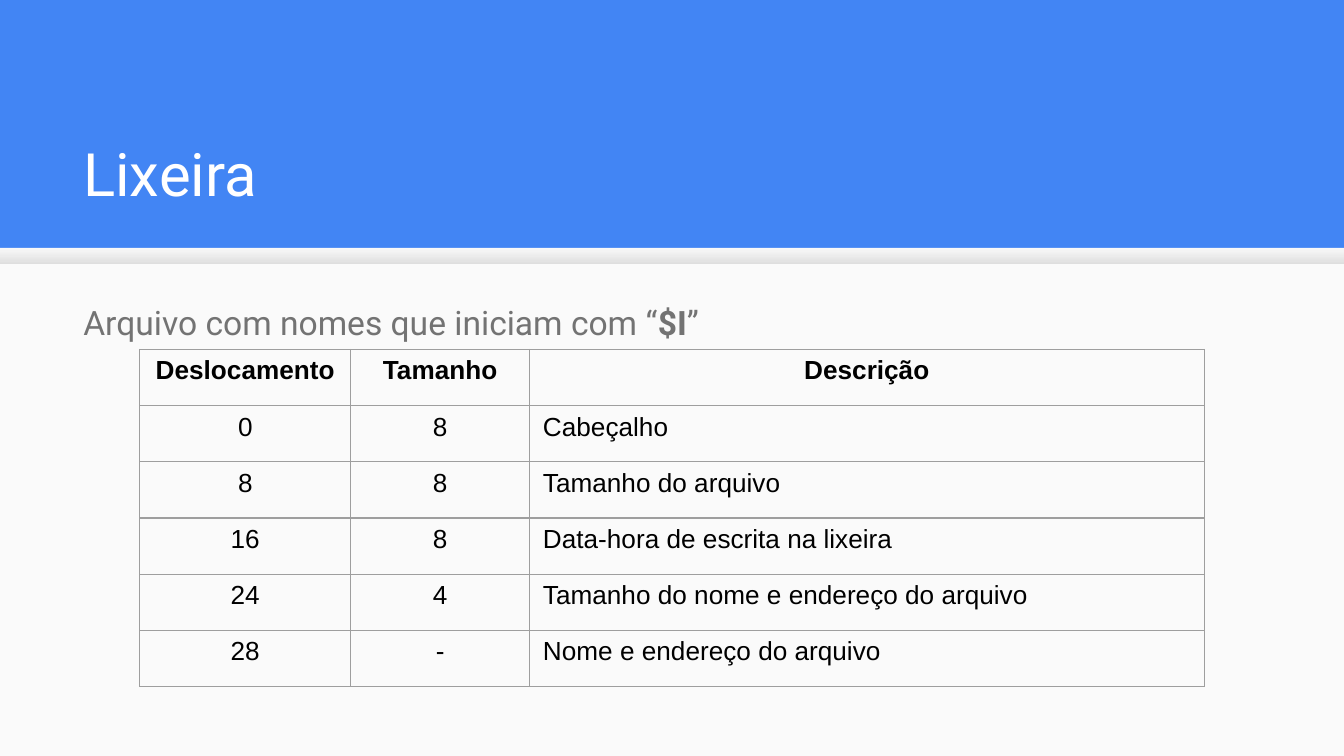
import lxml.etree
import pptx
import pptx.util
import pptx.dml.color
import pptx.enum.shapes
import pptx.enum.text
import pptx.oxml.ns

TITLE = [("Lixeira", False)]
BODY = [("Arquivo com nomes que iniciam com “", False), ("$I", True), ("”", False)]
HEAD = ("Deslocamento", "Tamanho", "Descrição")
ROWS = [
    ("0", "8", "Cabeçalho"),
    ("8", "8", "Tamanho do arquivo"),
    ("16", "8", "Data-hora de escrita na lixeira"),
    ("24", "4", "Tamanho do nome e endereço do arquivo"),
    ("28", "-", "Nome e endereço do arquivo"),
]

WIDE = 10
HIGH = WIDE * 9 / 16
PANEL = 3.78
SPLIT = HIGH - PANEL
COLS = (1.57, 1.33, 5.02)
GRID_TOP, GRID_HIGH = 2.6, 2.51

THEME = {
    "back": "4285F4", "panel": "FAFAFA", "shade": ("F9F9F9", "DEDEDE"), "rule": "9E9E9E",
    "title": ("Roboto", 32, "FFFFFF"),
    "body": ("Roboto", 18, "737373"),
    "cell": ("Arial", 14, "000000"),
}

Inches, Pt = pptx.util.Inches, pptx.util.Pt
Align = pptx.enum.text.PP_ALIGN
Anchor = pptx.enum.text.MSO_ANCHOR
rgb = pptx.dml.color.RGBColor.from_string
qn = pptx.oxml.ns.qn


def write(para, runs, style, align):
    face, size, hue = THEME[style]
    para.alignment = align
    for text, bold in runs:
        run = para.add_run()
        run.text = text
        run.font.name = face
        run.font.size = Pt(size)
        run.font.bold = bold
        run.font.color.rgb = rgb(hue)


def place(shape, x, y, w, h):
    shape.left, shape.top, shape.width, shape.height = map(Inches, (x, y, w, h))


def fill_text(holder, box, runs, style, anchor):
    place(holder, *box)
    frame = holder.text_frame
    frame.word_wrap = True
    frame.auto_size = pptx.enum.text.MSO_AUTO_SIZE.NONE
    frame.vertical_anchor = anchor
    frame.margin_left = frame.margin_right = Inches(0.1)
    frame.margin_top = frame.margin_bottom = Inches(0.1)
    para = frame.paragraphs[0]
    write(para, runs, style, Align.LEFT)
    return para


def add_band(slide, layer, top, height):
    band = slide.shapes.add_shape(
        pptx.enum.shapes.MSO_SHAPE.RECTANGLE, 0, Inches(top), Inches(WIDE), Inches(height))
    band.shadow.inherit = False
    band.line.fill.background()
    band.element.getparent().insert(2 + layer, band.element)
    return band


def add_rules(cell):
    props = cell._tc.get_or_add_tcPr()
    for side in ("a:lnL", "a:lnR", "a:lnT", "a:lnB"):
        line = lxml.etree.SubElement(props, qn(side), w=str(Pt(0.75)))
        solid = lxml.etree.SubElement(line, qn("a:solidFill"))
        lxml.etree.SubElement(solid, qn("a:srgbClr"), val=THEME["rule"])


def add_grid(slide):
    data = [HEAD] + ROWS
    wide = sum(COLS)
    frame = slide.shapes.add_table(
        len(data), len(COLS), Inches((WIDE - wide) / 2), Inches(GRID_TOP),
        Inches(wide), Inches(GRID_HIGH))
    table = frame.table
    table.first_row = table.horz_banding = False
    for col, width in zip(table.columns, COLS):
        col.width = Inches(width)
    for r, texts in enumerate(data):
        for c, text in enumerate(texts):
            cell = table.cell(r, c)
            add_rules(cell)
            cell.fill.background()
            align = Align.LEFT if r and c == 2 else Align.CENTER
            write(cell.text_frame.paragraphs[0], [(text, r == 0)], "cell", align)


def main():
    deck = pptx.Presentation()
    deck.slide_width, deck.slide_height = Inches(WIDE), Inches(HIGH)
    slide = deck.slides.add_slide(deck.slide_layouts[1])
    slide.background.fill.solid()
    slide.background.fill.fore_color.rgb = rgb(THEME["back"])

    panel = add_band(slide, 0, SPLIT, PANEL)
    panel.fill.solid()
    panel.fill.fore_color.rgb = rgb(THEME["panel"])
    shade = add_band(slide, 1, SPLIT, 0.12)
    shade.fill.gradient()
    shade.fill.gradient_angle = 270
    for stop, hue in zip(shade.fill.gradient_stops, THEME["shade"]):
        stop.color.rgb = rgb(hue)

    fill_text(slide.shapes.title, (0.52, 0.81, 8.99, 0.84), TITLE, "title", Anchor.BOTTOM)
    para = fill_text(slide.placeholders[1], (0.52, 2.1, 8.99, 0.58), BODY, "body", Anchor.TOP)
    para.line_spacing = 1.15
    para.space_before, para.space_after = Pt(0), Pt(12)
    props = para._p.get_or_add_pPr()
    props.set("marL", "0")
    props.set("indent", "0")
    lxml.etree.SubElement(props, qn("a:buNone"))

    add_grid(slide)
    deck.save("out.pptx")


if __name__ == "__main__":
    main()
